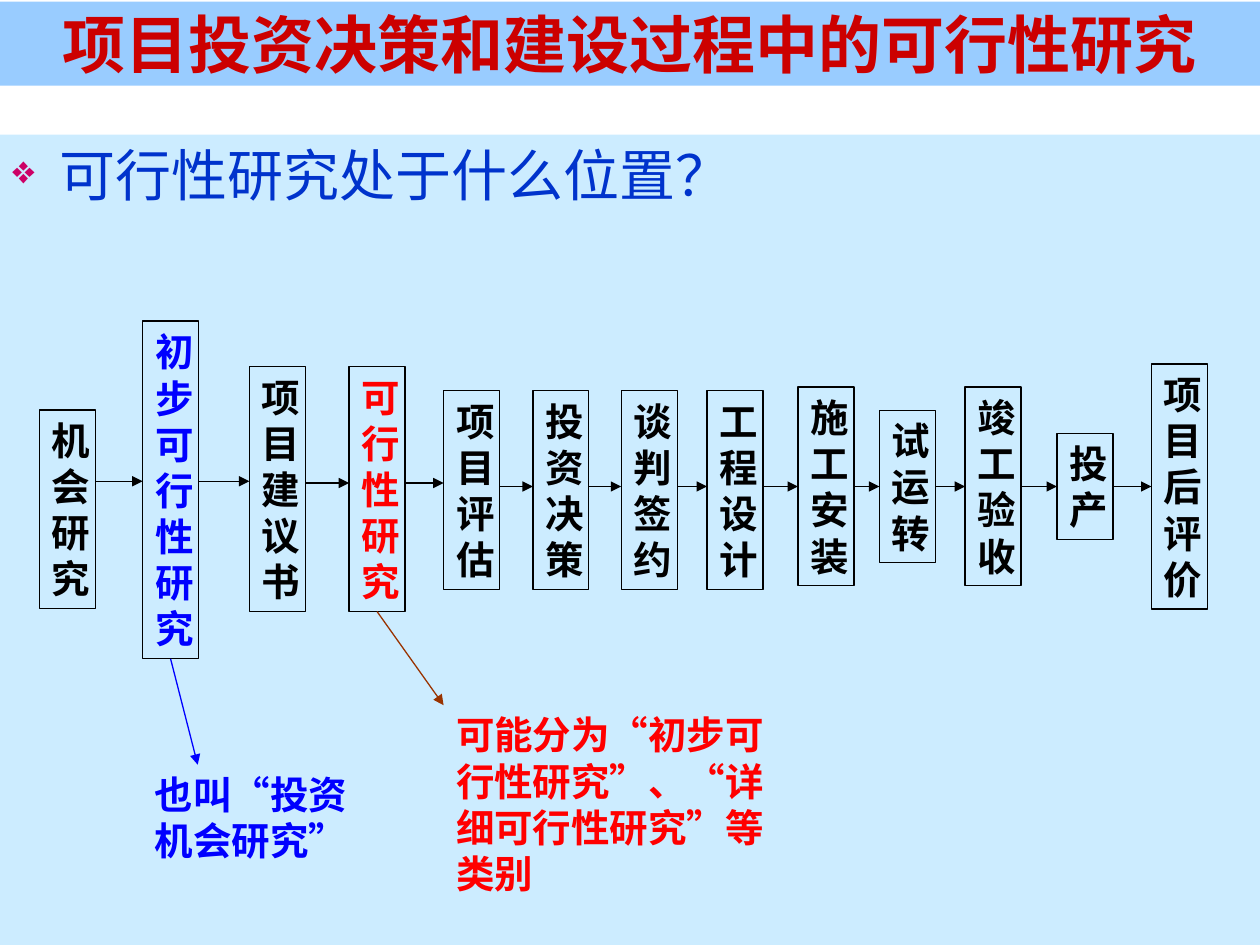
from itertools import groupby

from lxml import etree
from pptx import Presentation
from pptx import util as u
from pptx.dml.color import RGBColor
from pptx.enum import lang, shapes, text
from pptx.oxml.ns import qn

CJK = "Noto Sans CJK SC"
BLACK, BLUE, RED = "000000", "0000FF", "FF0000"

# Stage name, left edge, centre height, colour
STAGES = [
    ("机会研究", 22.5, 291, BLACK),
    ("初步可行性研究", 81.5, 280, BLUE),
    ("项目建议书", 142.5, 279.5, BLACK),
    ("可行性研究", 199.5, 279.5, RED),
    ("项目评估", 253.5, 280, BLACK),
    ("投资决策", 304.5, 280, BLACK),
    ("谈判签约", 355, 280, BLACK),
    ("工程设计", 404, 280, BLACK),
    ("施工安装", 456, 278, BLACK),
    ("试运转", 502.5, 278, BLACK),
    ("竣工验收", 551.5, 278, BLACK),
    ("投产", 604, 278, BLACK),
    ("项目后评价", 658, 278, BLACK),
]
STAGE_WIDTH, LINE_HEIGHT, STAGE_PADDING = 32, 26.5, 7.5
ARROW_HEIGHTS = [275, 275, 276, 276] + [278] * 8


def color(value):
    return RGBColor.from_string(value)


def add_box(page, box, fill=None, line=None):
    shape = page.shapes.add_shape(shapes.MSO_SHAPE.RECTANGLE, *map(u.Pt, box))
    shape.shadow.inherit = False
    if fill:
        shape.fill.solid()
        shape.fill.fore_color.rgb = color(fill)
    else:
        shape.fill.background()
    if line:
        shape.line.color.rgb = color(line)
        shape.line.width = u.Pt(0.75)
    else:
        shape.line.fill.background()
    return shape


def write(shape, words, size=22, font=CJK, ink=BLACK, bold=True,
          align=text.PP_ALIGN.LEFT, anchor=text.MSO_ANCHOR.TOP, grow=False):
    frame = shape.text_frame
    frame.word_wrap = True
    frame.vertical_anchor = anchor
    if grow:
        frame.auto_size = text.MSO_AUTO_SIZE.SHAPE_TO_FIT_TEXT
    para = frame.paragraphs[0]
    para.alignment = align
    # Quotation marks are set in Arial
    for quoted, part in groupby(words, lambda letter: letter in "“”"):
        span = para.add_run()
        span.text = "".join(part)
        span.font.size = u.Pt(size)
        span.font.bold = bold
        span.font.color.rgb = color(ink)
        span.font.name = "Arial" if quoted else font
        span.font.language_id = lang.MSO_LANGUAGE_ID.SIMPLIFIED_CHINESE
        east_asian = etree.Element(qn("a:ea"), typeface=CJK)
        span.font._element.find(qn("a:latin")).addnext(east_asian)
    return para


def add_bullet(para, mark, ink, percent, indent):
    props = para._p.get_or_add_pPr()
    props.set("marL", str(u.Pt(indent)))
    props.set("indent", str(-u.Pt(indent)))
    tint = etree.SubElement(props, qn("a:buClr"))
    etree.SubElement(tint, qn("a:srgbClr"), val=ink)
    etree.SubElement(props, qn("a:buSzPct"), val=str(percent * 1000))
    etree.SubElement(props, qn("a:buChar"), char=mark)


def add_arrow(page, start, end, ink=BLACK):
    arrow = page.shapes.add_connector(
        shapes.MSO_CONNECTOR.STRAIGHT, *map(u.Pt, (*start, *end)))
    arrow.line.color.rgb = color(ink)
    arrow.line.width = u.Pt(0.75)
    etree.SubElement(arrow.line._get_or_add_ln(), qn("a:tailEnd"), type="triangle")
    etree.SubElement(arrow._element.spPr, qn("a:effectLst"))
    return arrow


def add_title(page, box):
    write(add_box(page, box, fill="99CCFF"), "项目投资决策和建设过程中的可行性研究",
          size=36, font="Arial", ink="CC0000",
          align=text.PP_ALIGN.CENTER, anchor=text.MSO_ANCHOR.MIDDLE)


def add_body(page, box):
    para = write(add_box(page, box, fill="CCECFF"), "可行性研究处于什么位置？",
                 size=32, font="Arial", ink="0033CC", bold=False)
    add_bullet(para, "❖", "CC0066", percent=70, indent=27)


def add_process(page):
    # Stage boxes, as tall as their column of characters
    boxes = []
    for name, left, middle, ink in STAGES:
        height = LINE_HEIGHT * len(name) + STAGE_PADDING
        shape = add_box(page, (left, middle - height / 2, STAGE_WIDTH, height),
                        line=BLACK)
        write(shape, name, ink=ink, grow=True,
              align=text.PP_ALIGN.CENTER, anchor=text.MSO_ANCHOR.MIDDLE)
        boxes.append(shape)

    # Arrows between stages, joined where they meet the middle of a side
    for i, y in enumerate(ARROW_HEIGHTS):
        (_, left, middle, _), (_, next_left, next_middle, _) = STAGES[i:i + 2]
        arrow = add_arrow(page, (left + STAGE_WIDTH, y), (next_left, y))
        if y == middle:
            arrow.begin_connect(boxes[i], 3)
        if y == next_middle:
            arrow.end_connect(boxes[i + 1], 1)
    return boxes


def add_note(page, box, words, ink, stage, arrow_end, arrow_ink):
    start = ((stage.left + stage.width / 2) / u.Pt(1),
             (stage.top + stage.height) / u.Pt(1))
    add_arrow(page, start, arrow_end, arrow_ink).begin_connect(stage, 2)
    write(page.shapes.add_textbox(*map(u.Pt, box)), words, ink=ink, grow=True)


def main():
    deck = Presentation()
    deck.slide_width, deck.slide_height = u.Pt(720), u.Pt(540)
    page = deck.slides.add_slide(deck.slide_layouts[6])
    add_title(page, (0, 1, 720, 48))
    add_body(page, (0, 77, 720, 463))
    stages = add_process(page)
    # Remarks on the two feasibility stages
    add_note(page, (81.5, 437, 132.5, 60), "也叫“投资机会研究”",
             BLUE, stages[1], (113, 437), BLUE)
    add_note(page, (253.5, 403, 203, 86.5),
             "可能分为“初步可行性研究”、“详细可行性研究”等类别",
             RED, stages[3], (253.5, 403), "993300")
    deck.save("out.pptx")


if __name__ == "__main__":
    main()
